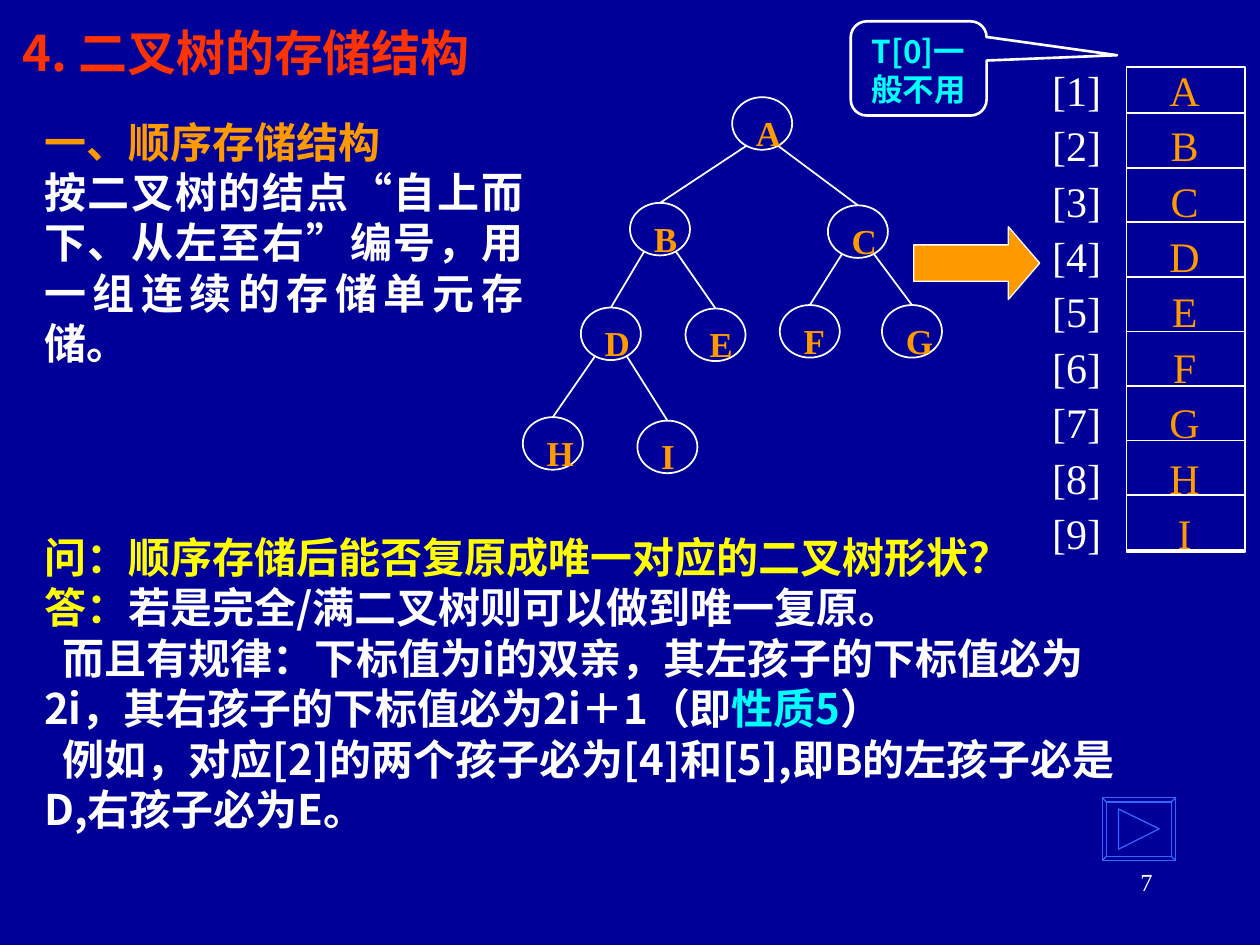
from lxml import etree
from pptx import Presentation
from pptx.dml.color import RGBColor
from pptx.enum.shapes import MSO_CONNECTOR, MSO_SHAPE
from pptx.enum.text import MSO_ANCHOR, MSO_AUTO_SIZE, PP_ALIGN
from pptx.oxml.ns import qn
from pptx.util import Cm, Pt

LEFT, CENTER, RIGHT, JUSTIFY = PP_ALIGN.LEFT, PP_ALIGN.CENTER, PP_ALIGN.RIGHT, PP_ALIGN.JUSTIFY
TOP, MIDDLE = MSO_ANCHOR.TOP, MSO_ANCHOR.MIDDLE
STRAIGHT = MSO_CONNECTOR.STRAIGHT
ELLIPSE, RECTANGLE = MSO_SHAPE.OVAL, MSO_SHAPE.RECTANGLE
ARROW, CALLOUT = MSO_SHAPE.RIGHT_ARROW, MSO_SHAPE.ROUNDED_RECTANGULAR_CALLOUT
SANS, SERIF = "Noto Sans CJK SC", "Times New Roman"
TITLE_ONLY = 5

COLORS = {
    "background": "000099",
    "title": "FF3300",
    "orange": "FF9900",
    "white": "FFFFFF",
    "yellow": "FFFF00",
    "cyan": "00FFFF",
    "button": "3366FF",
}

NODES = {
    "A": (14.76, 1.96),
    "B": (12.7, 4.09),
    "C": (16.69, 4.14),
    "D": (11.71, 6.2),
    "E": (13.82, 6.22),
    "F": (15.72, 6.15),
    "G": (17.78, 6.15),
    "H": (10.54, 8.41),
    "I": (12.85, 8.48),
}
NODE_WIDTH, NODE_HEIGHT = 1.21, 1.06

INTRO = [
    [("一、顺序存储结构", SERIF, "orange")],
    [("按二叉树的结点“自上而下、从左至右”编号，用一组连续的存储单元存储。", SANS, "white")],
]
ANSWER = [
    [("问：顺序存储后能否复原成唯一对应的二叉树形状？", SERIF, "yellow")],
    [("答：", SANS, "yellow"), ("若是完全/满二叉树则可以做到唯一复原。", SANS, "white")],
    [
        ("而且有规律：下标值为i的双亲，其左孩子的下标值必为2i，其右孩子的下标值必为2i＋1（即", SANS, "white"),
        ("性质5", SANS, "cyan"),
        ("）", SANS, "white"),
    ],
    [("例如，对应[2]的两个孩子必为[4]和[5],即B的左孩子必是D,右孩子必为E。", SANS, "white")],
]


def color(name):
    return RGBColor.from_string(COLORS[name])


def format_span(span, size, font, color_name, bold):
    span.font.size = Pt(size)
    span.font.bold = bold
    span.font.name = font
    span.font.color.rgb = color(color_name)
    east_asian = etree.Element(qn("a:ea"), typeface=SANS)
    span.font._element.find(qn("a:latin")).addnext(east_asian)


def fill_text(shape, paras, size, bold=True, align=LEFT, anchor=TOP, spacing=None):
    frame = shape.text_frame
    frame.auto_size = MSO_AUTO_SIZE.NONE
    frame.word_wrap = True
    frame.vertical_anchor = anchor
    for index, spans in enumerate(paras):
        para = frame.add_paragraph() if index else frame.paragraphs[0]
        para.alignment = align
        para.line_spacing = spacing
        for text, font, color_name in spans:
            span = para.add_run()
            span.text = text
            format_span(span, size, font, color_name, bold)
    return frame


def add_text(page, bounds, paras, size, **options):
    box = page.shapes.add_textbox(*map(Cm, bounds))
    return fill_text(box, paras, size, **options)


def set_outline(shape, color_name, width):
    shape.shadow.inherit = False
    shape.fill.background()
    shape.line.color.rgb = color(color_name)
    shape.line.width = Pt(width)


def add_outline(page, kind, bounds, width=1):
    shape = page.shapes.add_shape(kind, *map(Cm, bounds))
    set_outline(shape, "white", width)
    return shape


def add_line(page, start, end):
    line = page.shapes.add_connector(STRAIGHT, *map(Cm, start + end))
    line.line.color.rgb = color("white")
    line.line.width = Pt(1)
    etree.SubElement(line._element.spPr, qn("a:effectLst"))
    return line


def add_title(page):
    title = page.shapes.title
    title.left, title.top, title.width, title.height = map(Cm, (0.2, 0.2, 10.59, 1.7))
    fill_text(title, [[("4. 二叉树的存储结构", SANS, "title")]], 28, anchor=MIDDLE)


def add_intro(page):
    intro = add_text(page, (0.64, 2.34, 10.16, 5.08), INTRO, 24, anchor=MIDDLE)
    description = intro.paragraphs[1]
    description.alignment = JUSTIFY
    description._p.get_or_add_pPr().set("hangingPunct", "0")


def add_answer(page):
    answer = add_text(page, (0.64, 10.59, 22.86, 6.35), ANSWER, 24)
    for para in answer.paragraphs[2:]:
        para._p.get_or_add_pPr().set("indent", str(Cm(0.38)))


def add_tree(page):
    letters = list(NODES)
    for index, (letter, (left, top)) in enumerate(NODES.items()):
        circle = add_outline(page, ELLIPSE, (left, top, NODE_WIDTH, NODE_HEIGHT))
        add_text(page, (left + 0.23, top + 0.16, 1.08, 1.09), [[(letter, SERIF, "orange")]], 20)
        if index:
            parent_left, parent_top = NODES[letters[(index - 1) // 2]]
            side = -0.32 if index % 2 else 0.32
            start = (parent_left + NODE_WIDTH / 2 + side, parent_top + 0.98)
            branch = add_line(page, start, (left + NODE_WIDTH / 2, top))
            branch.end_connect(circle, 0)


def add_array(page):
    left, width = 22.71, 2.39
    add_outline(page, RECTANGLE, (left, 1.35, width, 9.78))
    values = [[(letter, SERIF, "orange")] for letter in NODES]
    indexes = [[(f"[{number}]", SERIF, "white")] for number in range(1, len(NODES) + 1)]
    add_text(page, (23.32, 1.07, 1.12, 10.31), values, 24, bold=False, align=CENTER, spacing=1.1)
    add_text(page, (20.96, 1.07, 1.5, 10.31), indexes, 24, bold=False, spacing=1.1)
    for row in range(len(NODES)):
        height = 2.28 + row * 1.1
        add_line(page, (left, height), (left + width, height))


def rectangle_corners(left, top, right, bottom):
    return [(left, top), (right, top), (right, bottom), (left, bottom)]


def add_next_button(page):
    outer = rectangle_corners(2222, 1608, 2370, 1735)
    inner = rectangle_corners(2231, 1617, 2361, 1726)
    triangle = [(2255, 1631), (2337, 1671), (2255, 1712)]
    builder = page.shapes.build_freeform(*outer[0], scale=Cm(1) / 100)
    builder.add_line_segments(outer[1:], close=True)
    for points in (inner, triangle):
        builder.move_to(*points[0])
        builder.add_line_segments(points[1:], close=True)
    for corner, inner_corner in zip(outer, inner):
        builder.move_to(*corner)
        builder.add_line_segments([inner_corner], close=False)
    set_outline(builder.convert_to_shape(), "button", 0.75)


def add_arrow(page):
    arrow = add_outline(page, ARROW, (18.42, 4.57, 2.54, 1.47), 0.75)
    arrow.adjustments[0], arrow.adjustments[1] = 0.5, 0.43
    arrow.fill.solid()
    arrow.fill.fore_color.rgb = color("orange")


def add_callout(page):
    callout = add_outline(page, CALLOUT, (17.15, 0.43, 2.74, 1.9), 1.5)
    for index, value in enumerate((1.46, -0.14, 0.17)):
        callout.adjustments[index] = value
    fill_text(callout, [[("T[0]一般不用", SANS, "cyan")]], 18, align=CENTER)


def main():
    deck = Presentation()
    deck.slide_width, deck.slide_height = Cm(25.4), Cm(19.05)
    page = deck.slides.add_slide(deck.slide_layouts[TITLE_ONLY])
    page.background.fill.solid()
    page.background.fill.fore_color.rgb = color("background")
    add_title(page)
    add_intro(page)
    add_array(page)
    add_tree(page)
    add_next_button(page)
    add_arrow(page)
    add_answer(page)
    add_callout(page)
    add_text(page, (18.21, 17.35, 5.28, 1.27), [[("7", SERIF, "white")]], 14, bold=False, align=RIGHT)
    deck.save("out.pptx")


if __name__ == "__main__":
    main()
